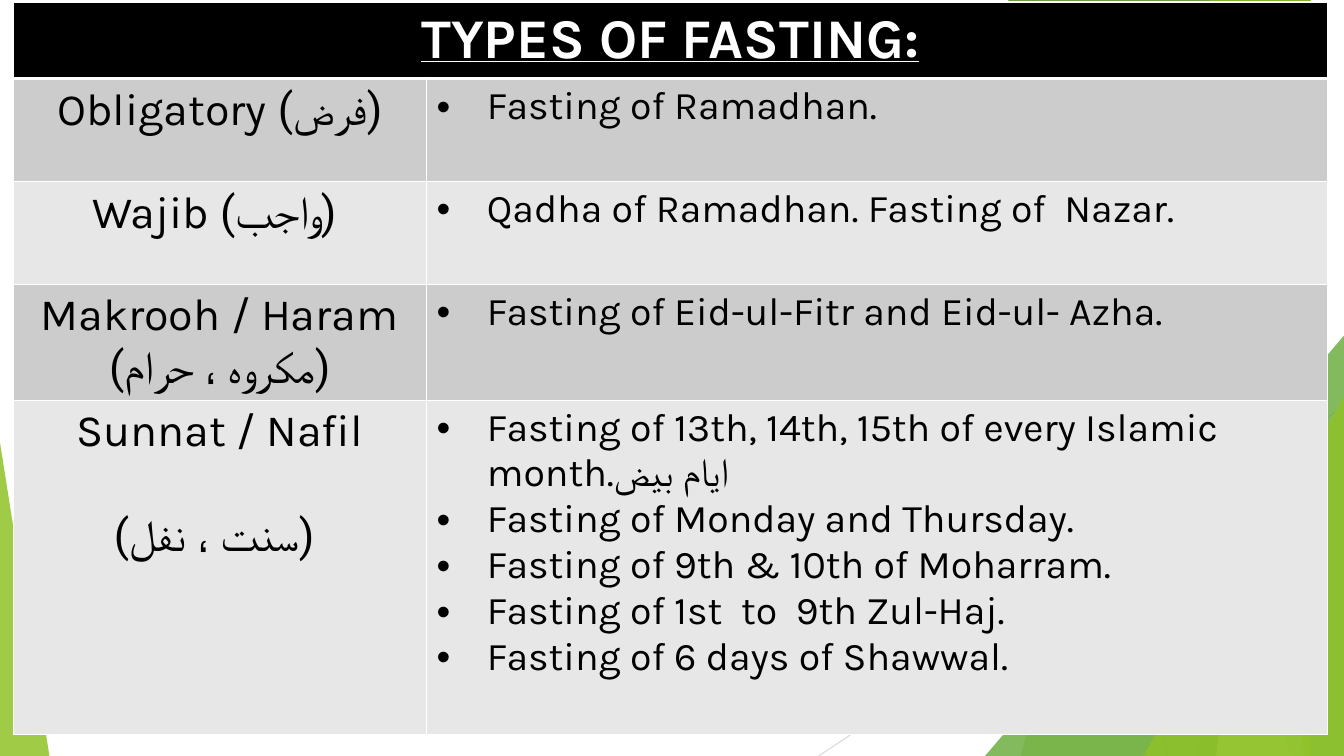
from lxml.etree import SubElement
from pptx import Presentation
from pptx.dml.color import RGBColor
from pptx.enum.shapes import MSO_CONNECTOR, MSO_SHAPE
from pptx.enum.text import PP_ALIGN
from pptx.oxml import parse_xml
from pptx.oxml.ns import nsdecls, qn
from pptx.util import Inches, Pt

# Content: (type, name in Arabic script, fasts)
TITLE = "TYPES OF FASTING:"
FASTS = [
    (["Obligatory ", "(فرض)"], ["Fasting of Ramadhan."]),
    (["Wajib ", "(واجب) "], ["Qadha of Ramadhan. Fasting of  Nazar."]),
    (["Makrooh / Haram", "\n(مکروہ ، حرام)"],
     ["Fasting of Eid-ul-Fitr and Eid-ul- Azha."]),
    (["Sunnat / Nafil", "\n(سنت ، نفل) "],
     ["Fasting of 13th, 14th, 15th of every Islamic month.ایام بیض",
      "Fasting of Monday and Thursday.",
      "Fasting of 9th & 10th of Moharram.",
      "Fasting of 1st  to  9th Zul-Haj.",
      "Fasting of 6 days of Shawwal."]),
]
NAME_GAPS = {3: 37}  # points between the two lines of a name, by row

THEME = {
    "font": "Karla", "arabic": "Roboto",
    "title": 40, "name": 32, "fast": 28,
    "text": "000000", "head": "000000", "head_text": "FFFFFF",
    "bands": ["CCCCCC", "E7E7E7"], "border": "FFFFFF",
    "lime": "90C226", "green": "54A021", "dark": "3F7819", "pale": "C0E474",
}

# Layout in inches
W, H = 13.33, 7.5
TABLE_LEFT, TABLE_TOP = 0.13, 0.02
COLS = [4.1, 8.94]
ROWS = [0.76, 1.02, 1.02, 1.15, 3.32]

# Background: lines, then facets from back to front
LINES = [((10.25, 0), (11.58, H), "BFBFBF"), ((W, 4.03), (8.12, H), "D9D9D9")]
# (kind, geometry, colour, opacity %): a band has its left edge's top and
# bottom x, a triangle has left, top, width and apex position
FACETS = [
    ("band", (12.28, 10.04), "lime", 30),
    ("band", (10.5, 11.83), "lime", 20),
    ("triangle", (9.77, 3.33, 3.56, 1), "green", 72),
    ("band", (10.21, 12.91), "dark", 70),
    ("band", (13.03, 11.92), "pale", 70),
    ("band", (11.96, 13.18), "lime", 65),
    ("triangle", (11.34, 3.93, 1.99, 1), "lime", 80),
    ("triangle", (0, 4.39, 0.49, 0), "lime", 85),
]


def rgb(value):
    return RGBColor.from_string(value)


def add_text(p, text, size, color=THEME["text"], font=THEME["font"],
             bold=False, underline=False):
    r = p.add_run()
    r.text = text
    r.font.name, r.font.size = font, Pt(size)
    r.font.bold, r.font.underline = bold, underline
    r.font.color.rgb = rgb(color)


def add_bullet(p):
    pPr = p._p.get_or_add_pPr()
    pPr.set("marL", str(Inches(0.5)))
    pPr.set("indent", str(-Inches(0.5)))
    SubElement(pPr, qn("a:buFont")).set("typeface", "Arial")
    SubElement(pPr, qn("a:buChar")).set("char", "•")


def style_cell(cell, fill, top=1, bottom=1):
    cell.fill.solid()
    cell.fill.fore_color.rgb = rgb(fill)
    tcPr = cell._tc.get_or_add_tcPr()
    widths = {"lnL": 1, "lnR": 1, "lnT": top, "lnB": bottom}
    for i, (side, width) in enumerate(widths.items()):
        tcPr.insert(i, parse_xml(
            f'<a:{side} {nsdecls("a")} w="{Pt(width)}"><a:solidFill>'
            f'<a:srgbClr val="{THEME["border"]}"/></a:solidFill></a:{side}>'))


def add_line(shapes, start, end, color):
    sp = shapes.add_connector(MSO_CONNECTOR.STRAIGHT,
                              *(Inches(v) for v in start + end))
    sp.line.color.rgb = rgb(color)
    sp.line.width = Pt(0.75)
    SubElement(sp._element.spPr, qn("a:effectLst"))


def add_facet(shapes, kind, geometry, color, opacity):
    if kind == "band":
        top_x, bottom_x = geometry
        outline = shapes.build_freeform(top_x, 0, scale=Inches(1))
        outline.add_line_segments([(W, 0), (W, H), (bottom_x, H)], close=True)
        sp = outline.convert_to_shape()
    else:
        left, top, width, apex = geometry
        sp = shapes.add_shape(MSO_SHAPE.ISOSCELES_TRIANGLE, Inches(left),
                              Inches(top), Inches(width), Inches(H - top))
        sp.adjustments[0] = apex
    sp.shadow.inherit = False
    sp.line.fill.background()
    sp.fill.solid()
    sp.fill.fore_color.rgb = rgb(THEME[color])
    clr = sp._element.spPr.find(qn("a:solidFill")).find(qn("a:srgbClr"))
    SubElement(clr, qn("a:alpha")).set("val", str(opacity * 1000))


def fill_name(tf, parts, gap):
    p = tf.paragraphs[0]
    p.alignment = PP_ALIGN.CENTER
    latin, arabic = parts
    add_text(p, latin, THEME["name"])
    if arabic.startswith("\n"):
        p = tf.add_paragraph()
        p.alignment = PP_ALIGN.CENTER
        p.space_before = Pt(gap)
    add_text(p, arabic.lstrip("\n"), THEME["name"], font=THEME["arabic"])


def fill_fasts(tf, fasts):
    for i, fast in enumerate(fasts):
        p = tf.add_paragraph() if i else tf.paragraphs[0]
        add_bullet(p)
        add_text(p, fast, THEME["fast"])


def add_fasting_table(shapes):
    table = shapes.add_table(
        len(ROWS), len(COLS), Inches(TABLE_LEFT), Inches(TABLE_TOP),
        Inches(sum(COLS)), Inches(sum(ROWS))).table
    for col, width in zip(table.columns, COLS):
        col.width = Inches(width)
    for row, height in zip(table.rows, ROWS):
        row.height = Inches(height)

    # Heading across both columns
    head = table.cell(0, 0)
    head.merge(table.cell(0, 1))
    for col in range(len(COLS)):
        style_cell(table.cell(0, col), THEME["head"], bottom=3)
    p = head.text_frame.paragraphs[0]
    p.alignment = PP_ALIGN.CENTER
    add_text(p, TITLE, THEME["title"], color=THEME["head_text"],
             bold=True, underline=True)

    # One row per type
    for i, (name, fasts) in enumerate(FASTS):
        cells = table.rows[i + 1].cells
        for cell in cells:
            style_cell(cell, THEME["bands"][i % 2], top=1 if i else 3)
        fill_name(cells[0].text_frame, name, NAME_GAPS.get(i, 0))
        fill_fasts(cells[1].text_frame, fasts)


def main():
    prs = Presentation()
    prs.slide_width, prs.slide_height = Inches(W), Inches(H)
    s = prs.slides.add_slide(prs.slide_layouts[6])
    for line in LINES:
        add_line(s.shapes, *line)
    for facet in FACETS:
        add_facet(s.shapes, *facet)
    add_fasting_table(s.shapes)
    prs.save("out.pptx")


if __name__ == "__main__":
    main()
